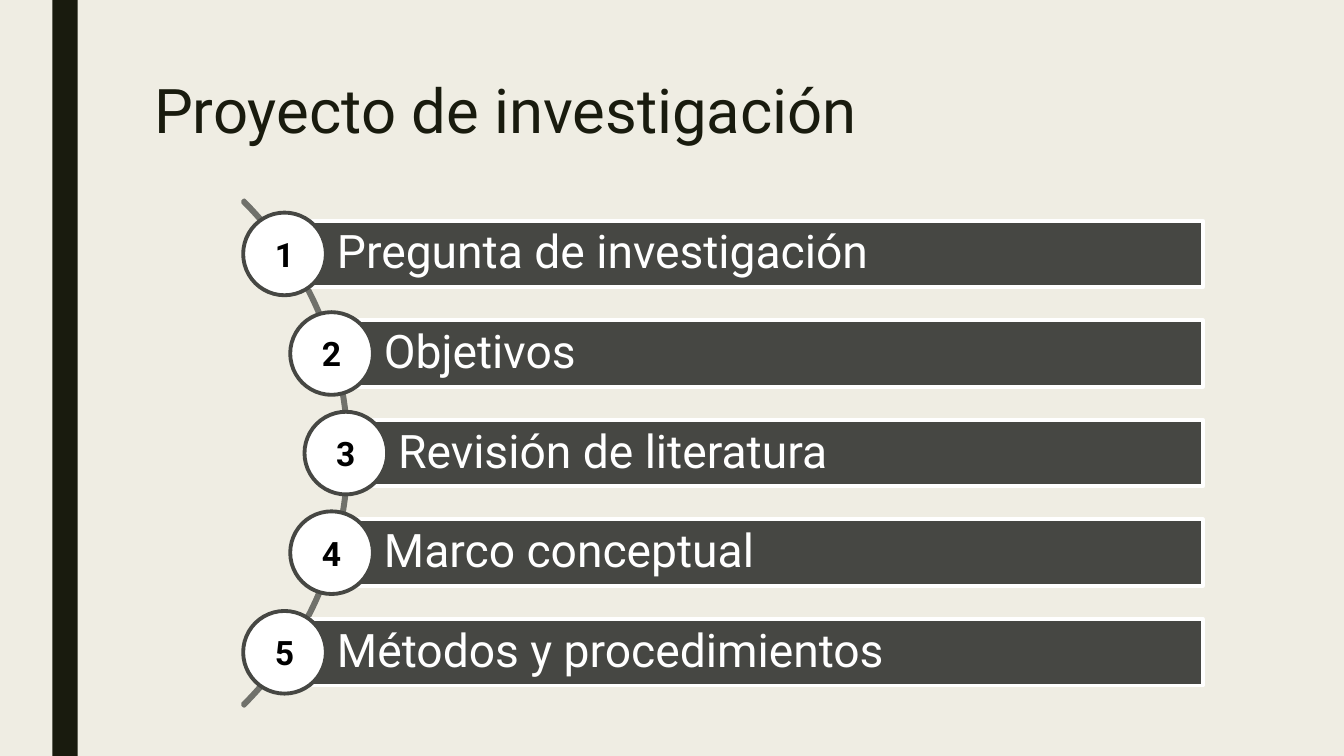
from math import sqrt
from pptx import Presentation
from pptx.dml.color import RGBColor
from pptx.enum.shapes import MSO_SHAPE
from pptx.enum.text import MSO_ANCHOR, PP_ALIGN
from pptx.util import Inches, Pt

TITLE = "Proyecto de investigación"
STEPS = [
    "Pregunta de investigación",
    "Objetivos",
    "Revisión de literatura",
    "Marco conceptual",
    "Métodos y procedimientos",
]
FONT = "Roboto"
DARK, BAR, ARC, WHITE, BLACK = "191B0E", "464743", "70716B", "FFFFFF", "000000"
WIDE, HIGH = 13.33, 7.5
MID_X, MID_Y = -0.085, 4.495
ARC_R, DOT_R = 3.545, 3.515
GAP, BAR_H, DOT, RIGHT = 0.988, 0.66, 0.82, 11.93

deck = Presentation()
deck.slide_width, deck.slide_height = Inches(WIDE), Inches(HIGH)
slide = deck.slides.add_slide(deck.slide_layouts[6])


def color(code):
    return RGBColor.from_string(code)


def draw(kind, x, y, w, h, fill=None, line=None):
    shape = slide.shapes.add_shape(kind, *map(Inches, (x, y, w, h)))
    shape.shadow.inherit = False
    if fill:
        shape.fill.solid()
        shape.fill.fore_color.rgb = color(fill)
    else:
        shape.fill.background()
    if line:
        shape.line.color.rgb = color(line)
        shape.line.width = Pt(2.75)
    else:
        shape.line.fill.background()
    return shape


def write(shape, text, size, code, align=PP_ALIGN.LEFT, anchor=MSO_ANCHOR.MIDDLE,
          space=1.0, bold=False, pads=(0.1, 0.05, 0.1, 0.05)):
    frame = shape.text_frame
    frame.text = text
    frame.word_wrap = True
    frame.vertical_anchor = anchor
    (frame.margin_left, frame.margin_top,
     frame.margin_right, frame.margin_bottom) = map(Inches, pads)
    para = frame.paragraphs[0]
    para.alignment, para.line_spacing = align, space
    font = para.runs[0].font
    font.name, font.size, font.bold = FONT, Pt(size), bold
    font.color.rgb = color(code)


back = slide.background.fill
back.solid()
back.fore_color.rgb = color("EFEDE3")
draw(MSO_SHAPE.RECTANGLE, 0.52, 0, 0.25, HIGH, DARK)

title = slide.shapes.add_textbox(*map(Inches, (1.43, 0.75, 10.5, 1.62)))
write(title, TITLE, 44, DARK, anchor=MSO_ANCHOR.TOP, space=0.89)

arc = draw(MSO_SHAPE.BLOCK_ARC, MID_X - ARC_R, MID_Y - ARC_R, 2 * ARC_R, 2 * ARC_R, line=ARC)
for i, value in enumerate((189, 27, 0.003)):
    arc.adjustments[i] = value

for i, step in enumerate(STEPS):
    drop = (i - (len(STEPS) - 1) / 2) * GAP
    x, y = MID_X + sqrt(DOT_R ** 2 - drop ** 2), MID_Y + drop
    bar = draw(MSO_SHAPE.RECTANGLE, x, y - BAR_H / 2, RIGHT - x, BAR_H, BAR, WHITE)
    write(bar, step, 33, WHITE, space=0.9, pads=(0.52, 0.09, 0.09, 0.09))
    dot = draw(MSO_SHAPE.OVAL, x - DOT / 2, y - DOT / 2, DOT, DOT, WHITE, BAR)
    write(dot, str(i + 1), 24, BLACK, PP_ALIGN.CENTER, bold=True, pads=(0, 0, 0, 0))

deck.save("out.pptx")
